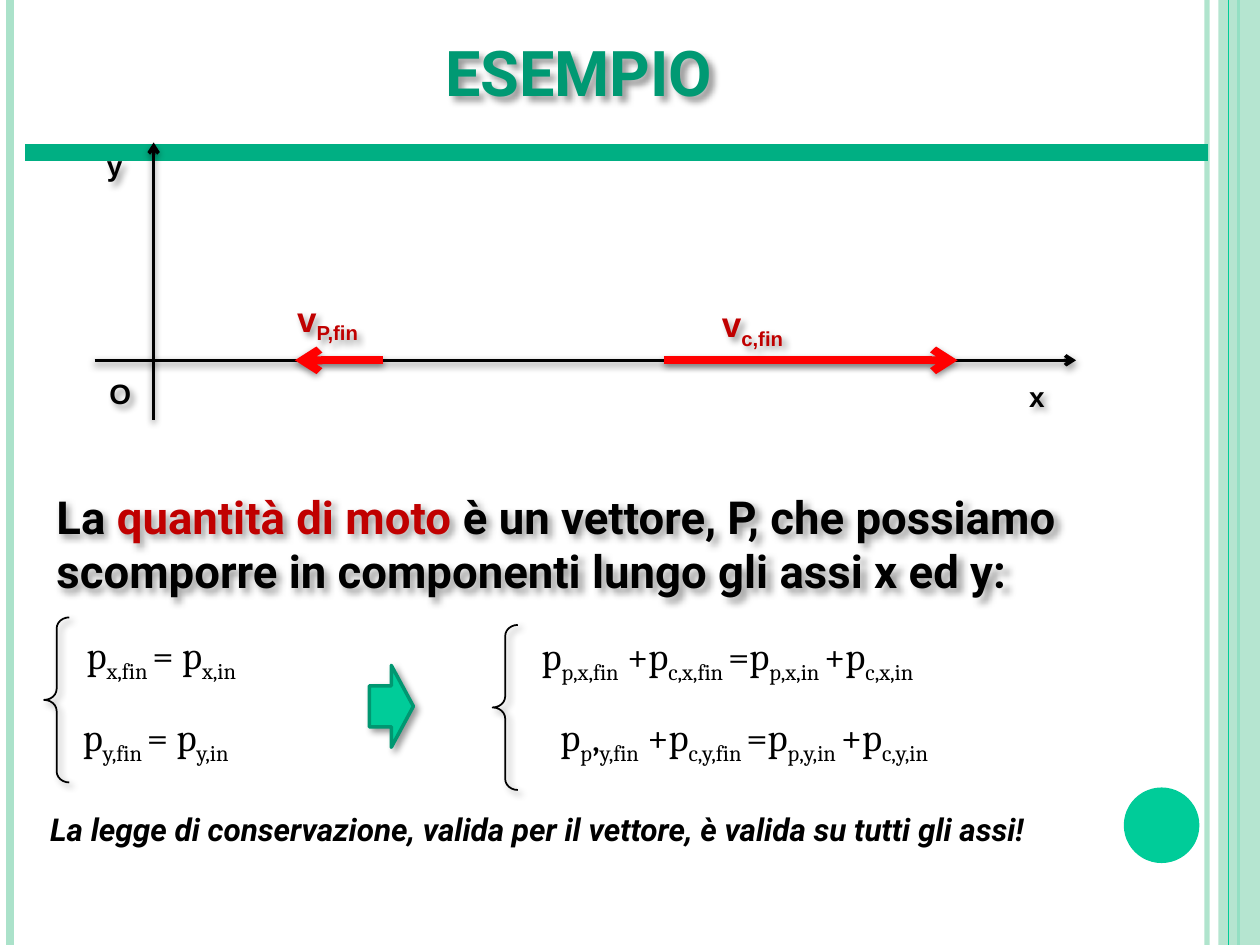
from lxml.etree import SubElement
from pptx import Presentation
from pptx.dml.color import RGBColor
from pptx.enum.shapes import MSO_CONNECTOR, MSO_SHAPE
from pptx.enum.text import MSO_ANCHOR, MSO_AUTO_SIZE, PP_ALIGN
from pptx.oxml.ns import qn
from pptx.util import Pt

BLACK = RGBColor(0x00, 0x00, 0x00)
RED = RGBColor(0xFF, 0x00, 0x00)
DARK_RED = RGBColor(0xC0, 0x00, 0x00)
GREEN = RGBColor(0x00, 0xCC, 0x99)
PALE_GREEN = RGBColor(0xAB, 0xE2, 0xCA)
BAR_GREEN = RGBColor(0x00, 0xAF, 0x83)
EDGE_GREEN = RGBColor(0x00, 0x97, 0x71)
TITLE_GREEN = RGBColor(0x00, 0x99, 0x73)


def add_effects(shape, shadow=None):
    properties = shape._element.spPr
    effects = SubElement(properties, qn("a:effectLst"))
    if shadow:
        opacity, blur, distance, angle = shadow
        outer = SubElement(
            effects, qn("a:outerShdw"), blurRad=str(Pt(blur)),
            dist=str(Pt(distance)), dir=str(angle * 60000),
            algn="tl", rotWithShape="0")
        color = SubElement(outer, qn("a:srgbClr"), val=str(BLACK))
        SubElement(color, qn("a:alpha"), val=str(opacity * 1000))


def set_opacity(fill_element, percent):
    color = fill_element.find(".//" + qn("a:srgbClr"))
    SubElement(color, qn("a:alpha"), val=str(percent * 1000))


def add_line(slide, start, end, color, width, arrow=False, shadow=None):
    line = slide.shapes.add_connector(
        MSO_CONNECTOR.STRAIGHT, *map(Pt, start + end))
    line.line.color.rgb = color
    line.line.width = Pt(width)
    if arrow:
        SubElement(line.line._get_or_add_ln(), qn("a:tailEnd"), type="arrow")
    add_effects(line, shadow)
    return line


def add_preset(slide, kind, box, fill=None, outline=None, width=1, shadow=None):
    shape = slide.shapes.add_shape(kind, *map(Pt, box))
    if fill is None:
        shape.fill.background()
    else:
        shape.fill.solid()
        shape.fill.fore_color.rgb = fill
    if outline is None:
        shape.line.fill.background()
    else:
        shape.line.color.rgb = outline
        shape.line.width = Pt(width)
    add_effects(shape, shadow)
    return shape


def write_runs(paragraph, pieces, font="Arial", size=16, color=BLACK,
               bold=True, italic=False, accent=None, subscript=False):
    for index, text in enumerate(pieces.split("|")):
        run = paragraph.add_run()
        run.text = text
        run.font.name = font
        run.font.size = Pt(size)
        run.font.bold = bold
        run.font.italic = italic
        marked = index % 2 == 1
        run.font.color.rgb = accent if marked and accent else color
        if marked and subscript:
            run.font._element.set("baseline", "-25000")


def add_text(slide, box, pieces, wrap=True, shadow=None, **text_format):
    shape = slide.shapes.add_textbox(*map(Pt, box))
    frame = shape.text_frame
    frame.word_wrap = wrap
    frame.auto_size = MSO_AUTO_SIZE.SHAPE_TO_FIT_TEXT
    write_runs(frame.paragraphs[0], pieces, **text_format)
    if shadow:
        add_effects(shape, shadow)


def set_title(slide, box, text, shadow, **text_format):
    title = slide.shapes.title
    title.left, title.top, title.width, title.height = map(Pt, box)
    frame = title.text_frame
    frame.vertical_anchor = MSO_ANCHOR.MIDDLE
    frame.paragraphs[0].alignment = PP_ALIGN.CENTER
    write_runs(frame.paragraphs[0], text, **text_format)
    add_effects(title, shadow)


def add_frame(slide):
    right_line = add_line(slide, (689.8, 0), (689.8, 540), PALE_GREEN, 3)
    set_opacity(right_line.line._get_or_add_ln(), 93)
    add_line(slide, (5.8, 0), (5.8, 540), PALE_GREEN, 4.5)
    add_line(slide, (707.8, 0), (707.8, 540), GREEN, 1.5)
    band = add_preset(slide, MSO_SHAPE.RECTANGLE, (696.2, 0, 23.8, 540), PALE_GREEN)
    set_opacity(band._element.spPr, 87)
    add_line(slide, (702, 0), (702, 540), GREEN, 0.75)
    add_preset(slide, MSO_SHAPE.OVAL, (642.2, 450, 43.2, 43.2), GREEN)
    add_line(slide, (14.4, 87.1), (690.5, 87.1), BAR_GREEN, 10)


def add_diagram(slide, text_shadow):
    axis_y = 205.9
    axis_shadow = (40, 4, 2, 90)
    for start, end in [((54, axis_y), (614.9, axis_y)),
                       ((87.8, 239.8), (87.8, 81.4))]:
        add_line(slide, start, end, BLACK, 2, True, axis_shadow)
    for start_x, end_x in [(379.4, 547.2), (218.9, 168.5)]:
        add_line(slide, (start_x, axis_y), (end_x, axis_y), RED, 4.5, True,
                 (42, 4, 1.6, 90))
    for text, left, top, width in [("x", 581, 213.1, 23.8),
                                   ("y", 54, 81.4, 23.8),
                                   ("O", 55.4, 211.7, 27.4)]:
        add_text(slide, (left, top, width, 26.6), text, wrap=False,
                 shadow=text_shadow)
    for text, left, top in [("v|P,fin", 162.7, 166.3), ("v|c,fin", 405.4, 169.2)]:
        add_text(slide, (left, top, 53.3, 31.7), text, wrap=False,
                 shadow=text_shadow, size=20, color=DARK_RED, subscript=True)


def add_equations(slide, shadow):
    for left, top in [(25.2, 352.8), (281.5, 357.1)]:
        brace = add_preset(slide, MSO_SHAPE.LEFT_BRACE, (left, top, 14.4, 94.3),
                           outline=BLACK, shadow=shadow)
        brace.adjustments[0] = 0.44
        brace.adjustments[1] = 0.5
    add_preset(slide, MSO_SHAPE.RIGHT_ARROW, (211, 380.2, 25.2, 46.8),
               GREEN, EDGE_GREEN, 2, shadow)
    for text, left, top, width in [
            ("p|x,fin |= p|x,in", 42.5, 357.1, 148.3),
            ("p|y,fin |= p|y,in", 40.3, 403.9, 138.2),
            ("p|p,x,fin| +p|c,x,fin |=p|p,x,in |+p|c,x,in", 302.4, 357.8, 382.3),
            ("p|p|,|y,fin| +p|c,y,fin |=p|p,y,in |+p|c,y,in", 313.2, 403.9, 333.4)]:
        add_text(slide, (left, top, width, 33.8), text, font="Cambria",
                 size=22, bold=False, subscript=True)


def main():
    presentation = Presentation()
    presentation.slide_width = Pt(720)
    presentation.slide_height = Pt(540)
    slide = presentation.slides.add_slide(presentation.slide_layouts[5])
    shadow = (40, 4, 3, 45)
    add_frame(slide)
    set_title(slide, (-25.9, 13, 713.5, 55.4), "ESEMPIO", shadow,
              font="Roboto", size=36, color=TITLE_GREEN)
    add_text(slide, (25.2, 275.8, 658.1, 70.6),
             "La |quantità di moto |è un vettore, P, che possiamo "
             "scomporre in componenti lungo gli assi x ed y:",
             shadow=shadow, font="Roboto", size=26, accent=DARK_RED)
    add_diagram(slide, shadow)
    add_equations(slide, shadow)
    add_text(slide, (21.6, 459.4, 620.6, 28.8),
             "La legge di conservazione, valida per il vettore, "
             "è valida su tutti gli assi!",
             font="Roboto", size=18, italic=True)
    presentation.save("out.pptx")


if __name__ == "__main__":
    main()
